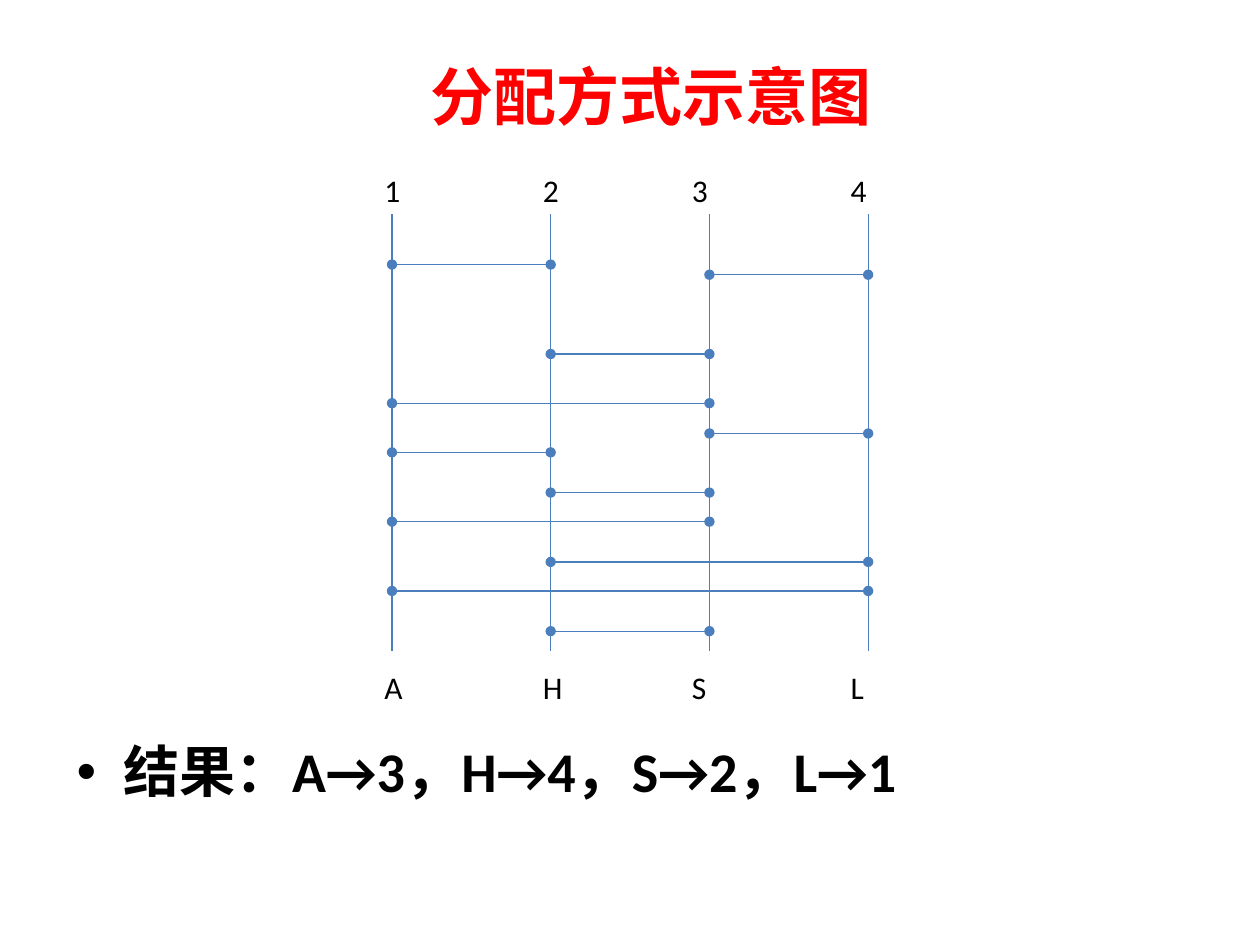
"""Builds the ladder-lottery slide that assigns A, H, S and L to 1-4."""
from lxml import etree
from pptx import Presentation
from pptx.dml.color import RGBColor
from pptx.enum.shapes import MSO_CONNECTOR
from pptx.enum.text import MSO_ANCHOR, PP_ALIGN
from pptx.oxml.ns import qn
from pptx.util import Pt

STRAIGHT = MSO_CONNECTOR.STRAIGHT
MIDDLE, TOP = MSO_ANCHOR.MIDDLE, MSO_ANCHOR.TOP
CENTER, LEFT = PP_ALIGN.CENTER, PP_ALIGN.LEFT

COLORS = {"title": "FF0000", "text": "000000", "line": "4B7EBC"}
FONT = "Calibri"
POLES = [224 + 90.7 * i for i in range(4)]
POLE_TOP, POLE_BOTTOM = 122.4, 372.2
LABEL_SHIFTS = (-11.5, -11.5, -17.2, -17.2)
LABEL_ROWS = (("1234", 94.2), ("AHSL", 377.9))
RUNGS = [
    (0, 1, 151.2), (2, 3, 157), (1, 2, 202.3), (0, 2, 230.4),
    (2, 3, 247.7), (0, 1, 258.5), (1, 2, 281.5), (0, 2, 298.1),
    (1, 3, 321.1), (0, 3, 337.7), (1, 2, 360.7),
]


def place(sp, left, top, width, height):
    sp.left, sp.top, sp.width, sp.height = map(Pt, (left, top, width, height))


def write(sp, text, size, color="text", bold=False, align=LEFT, anchor=TOP):
    tf = sp.text_frame
    tf.word_wrap = True
    tf.vertical_anchor = anchor
    p = tf.paragraphs[0]
    p.alignment = align
    r = p.add_run()
    r.text = text
    r.font.name = FONT
    r.font.size = Pt(size)
    r.font.bold = bold
    r.font.color.rgb = RGBColor.from_string(COLORS[color])
    return p


def add_title(slide, text):
    sp = slide.shapes.title
    place(sp, 48, 9.4, 648, 90)
    write(sp, text, 36, "title", True, CENTER, MIDDLE)


def add_text(slide, text, left, top, width, height, size, bold=False):
    sp = slide.shapes.add_textbox(Pt(left), Pt(top), Pt(width), Pt(height))
    return write(sp, text, size, bold=bold)


def add_bullet(slide, text, left, top, width, height):
    p = add_text(slide, text, left, top, width, height, 32, True)
    p.space_before = Pt(6.4)
    pPr = p._p.get_or_add_pPr()
    pPr.set("marL", str(Pt(27)))
    pPr.set("indent", str(-Pt(27)))
    etree.SubElement(pPr, qn("a:buFont")).set("typeface", "Arial")
    etree.SubElement(pPr, qn("a:buChar")).set("char", "•")


def add_line(slide, x1, y1, x2, y2, dots=False):
    sp = slide.shapes.add_connector(STRAIGHT, Pt(x1), Pt(y1), Pt(x2), Pt(y2))
    sp.line.color.rgb = RGBColor.from_string(COLORS["line"])
    sp.line.width = Pt(0.75)
    if dots:
        ln = sp.line._get_or_add_ln()
        for end in ("a:headEnd", "a:tailEnd"):
            etree.SubElement(ln, qn(end)).set("type", "oval")
    etree.SubElement(sp._element.spPr, qn("a:effectLst"))


def add_ladder(slide):
    for x in POLES:
        add_line(slide, x, POLE_TOP, x, POLE_BOTTOM)
    for labels, y in LABEL_ROWS:
        for label, x, shift in zip(labels, POLES, LABEL_SHIFTS):
            add_text(slide, label, x + shift, y, 39.6, 29, 18)
    for start, end, y in RUNGS:
        add_line(slide, POLES[start], y, POLES[end], y, dots=True)


def main():
    prs = Presentation()
    prs.slide_width, prs.slide_height = Pt(720), Pt(540)
    slide = prs.slides.add_slide(prs.slide_layouts[5])
    add_title(slide, "分配方式示意图")
    add_bullet(slide, "结果：A→3，H→4，S→2，L→1", 36.7, 417.6, 648, 47.5)
    add_ladder(slide)
    prs.save("out.pptx")


if __name__ == "__main__":
    main()
